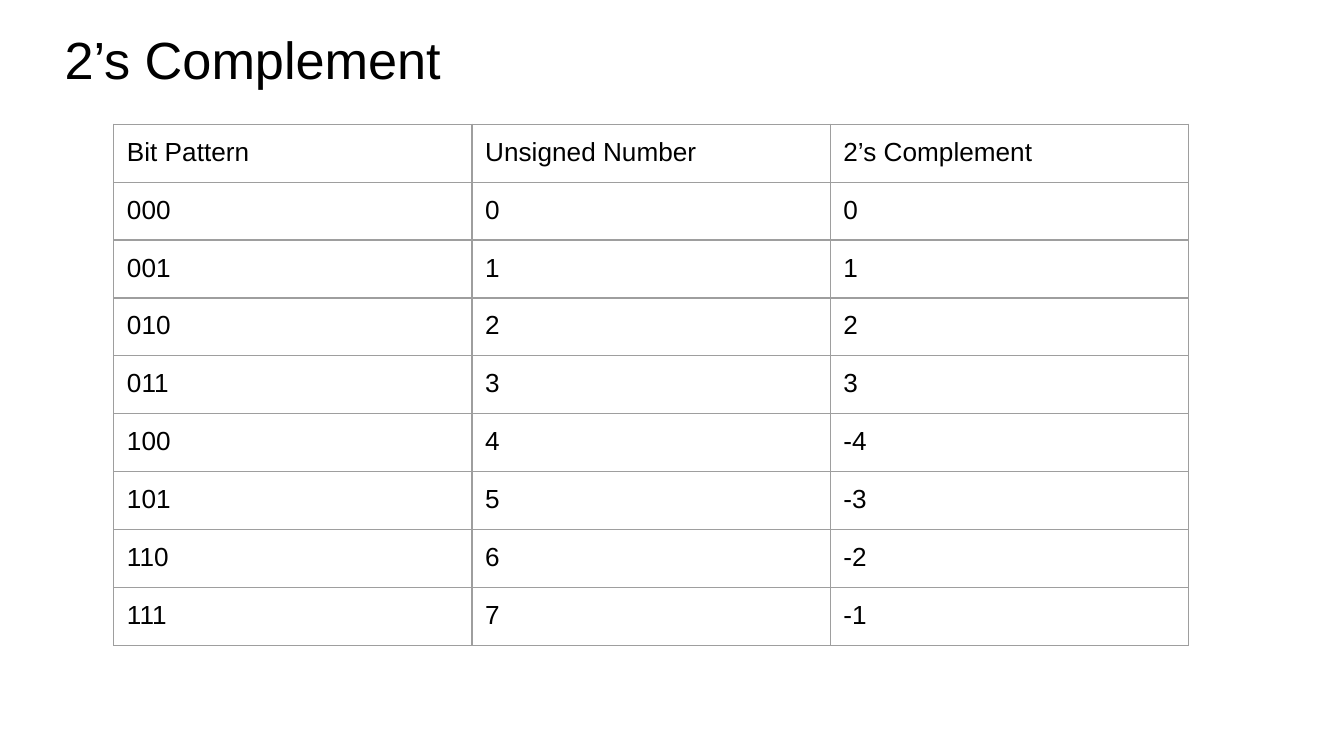
from lxml.etree import SubElement
from pptx import Presentation
from pptx.dml.color import RGBColor as RGB
from pptx.enum.text import MSO_ANCHOR as ANCHOR
from pptx.oxml.ns import qn
from pptx.util import Cm, Pt

COLORS = {"text": "000000", "border": "9E9E9E"}
BITS = 3


def write(tf, text, size=14, font="Arial", color="text", anchor=ANCHOR.TOP):
    tf.word_wrap = True
    tf.vertical_anchor = anchor
    r = tf.paragraphs[0].add_run()
    r.text = text
    r.font.size = Pt(size)
    r.font.name = font
    r.font.color.rgb = RGB.from_string(COLORS[color])


class SlideBuilder:
    def __init__(self, slide, inset=0.25, border_width=0.75):
        self.s = slide
        self.inset = Cm(inset)
        self.border_width = Pt(border_width)

    def set_margins(self, item):
        item.margin_left = item.margin_right = self.inset
        item.margin_top = item.margin_bottom = self.inset

    def title(self, text, x, y, w, h):
        tf = self.s.shapes.add_textbox(Cm(x), Cm(y), Cm(w), Cm(h)).text_frame
        self.set_margins(tf)
        write(tf, text, size=28, anchor=ANCHOR.MIDDLE)

    def border(self, cell):
        tc_pr = cell._tc.get_or_add_tcPr()
        for i, side in enumerate(("lnL", "lnR", "lnT", "lnB")):
            ln = SubElement(tc_pr, qn(f"a:{side}"), w=str(self.border_width))
            fill = SubElement(ln, qn("a:solidFill"))
            SubElement(fill, qn("a:srgbClr"), val=COLORS["border"])
            tc_pr.insert(i, ln)  # borders must come before the cell fill

    def table(self, rows, x, y, col_w, row_h):
        n_rows, n_cols = len(rows), len(rows[0])
        table = self.s.shapes.add_table(
            n_rows, n_cols, Cm(x), Cm(y), Cm(col_w * n_cols), Cm(row_h * n_rows)
        ).table
        table.first_row = table.horz_banding = False
        for col in table.columns:
            col.width = Cm(col_w)
        for row, values in zip(table.rows, rows):
            row.height = Cm(row_h)
            for cell, value in zip(row.cells, values):
                cell.fill.background()
                self.border(cell)
                self.set_margins(cell)
                write(cell.text_frame, str(value))


def complement_rows(bits):
    """Each bit pattern with its unsigned and two's complement values."""
    size = 2 ** bits
    return [
        (f"{n:0{bits}b}", n, n if n < size // 2 else n - size)
        for n in range(size)
    ]


def main():
    prs = Presentation()
    prs.slide_width, prs.slide_height = Cm(25.4), Cm(14.29)
    slide = SlideBuilder(prs.slides.add_slide(prs.slide_layouts[6]))
    slide.title("2’s Complement", 0.97, 0.3, 23.67, 1.6)
    header = ("Bit Pattern", "Unsigned Number", "2’s Complement")
    slide.table([header, *complement_rows(BITS)], 2.15, 2.35, 6.77, 1.06)
    prs.save("out.pptx")


if __name__ == "__main__":
    main()
